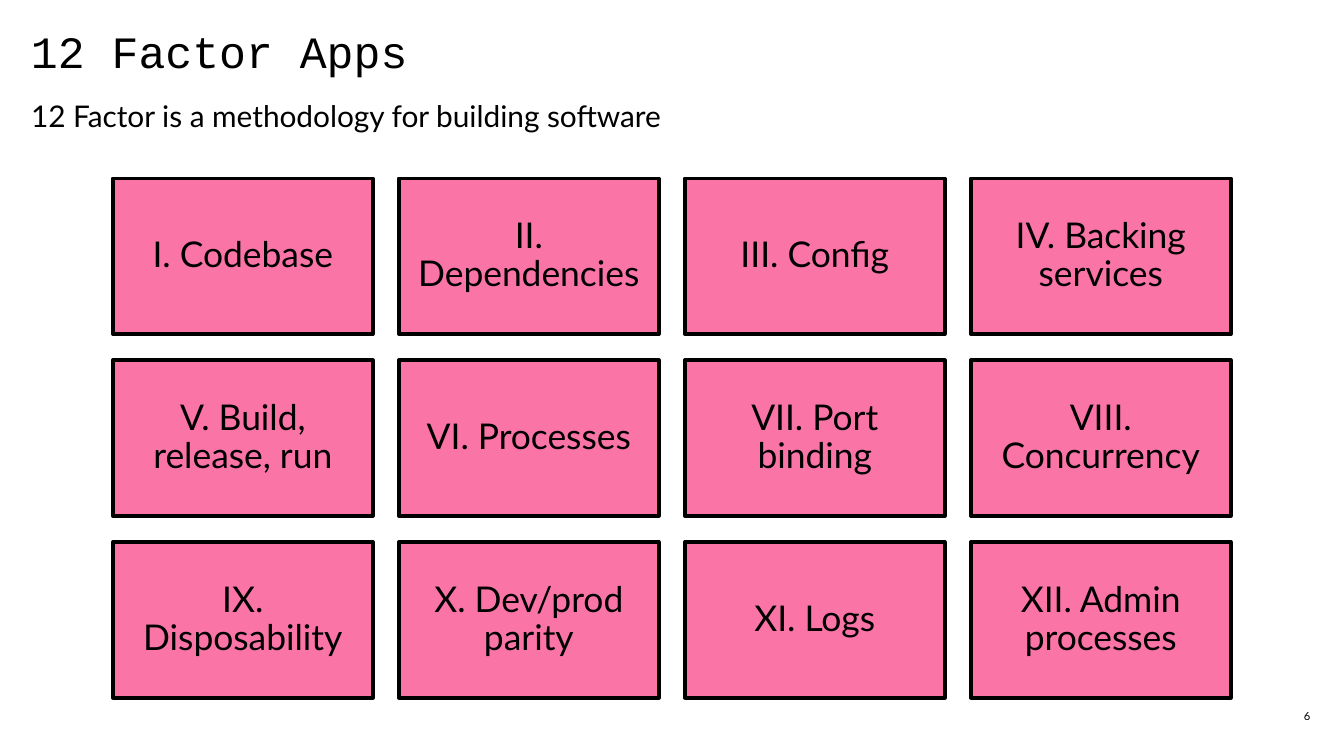
from dataclasses import dataclass

import pptx
import pptx.dml.color
import pptx.enum.shapes
import pptx.enum.text
import pptx.util

Pt = pptx.util.Pt
RGB = pptx.dml.color.RGBColor
ALIGN = pptx.enum.text.PP_ALIGN
ANCHOR = pptx.enum.text.MSO_ANCHOR


@dataclass(frozen=True)
class Theme:
    ink: RGB = RGB(0, 0, 0)
    pink: RGB = RGB(0xFA, 0x75, 0xA6)
    mono: str = "Courier New"
    sans: str = "Lato"
    title: int = 24
    lead: int = 16
    card: int = 19
    page: int = 6


THEME = Theme()
FACTORS = [
    "I. Codebase", "II. Dependencies", "III. Config", "IV. Backing services",
    "V. Build, release, run", "VI. Processes", "VII. Port binding", "VIII. Concurrency",
    "IX. Disposability", "X. Dev/prod parity", "XI. Logs", "XII. Admin processes",
]


def write(shape, text, size, font=THEME.sans, align=ALIGN.LEFT,
          anchor=ANCHOR.TOP, inset=0, spacing=None):
    """Fill a shape with one styled paragraph."""
    frame = shape.text_frame
    frame.text = text
    frame.word_wrap = True
    frame.vertical_anchor = anchor
    frame.margin_left = frame.margin_right = Pt(inset)
    frame.margin_top = frame.margin_bottom = Pt(inset)
    para = frame.paragraphs[0]
    para.alignment = align
    para.line_spacing = spacing
    style = para.runs[0].font
    style.name = font
    style.size = Pt(size)
    style.color.rgb = THEME.ink


def add_label(slide, box, text, size, **style):
    label = slide.shapes.add_textbox(*map(Pt, box))
    write(label, text, size, **style)


def add_card(slide, box, text):
    kind = pptx.enum.shapes.MSO_SHAPE.RECTANGLE
    card = slide.shapes.add_shape(kind, *map(Pt, box))
    card.shadow.inherit = False
    card.fill.solid()
    card.fill.fore_color.rgb = THEME.pink
    card.line.color.rgb = THEME.ink
    card.line.width = Pt(2)
    write(card, text, THEME.card, align=ALIGN.CENTER,
          anchor=ANCHOR.MIDDLE, inset=5.7, spacing=0.9)


def add_header(slide, box):
    left, top, width, height = box
    add_label(slide, (left, top, width / 2, 37.4), "12 Factor Apps", THEME.title,
              font=THEME.mono, spacing=Pt(28))
    add_label(slide, (left, top + height - 25.2, width, 25.2),
              "12 Factor is a methodology for building software",
              THEME.lead, spacing=Pt(16))


def add_grid(slide, box, names, cols=4, gap=14):
    left, top, width, height = box
    rows = len(names) // cols
    wide = (width - gap * (cols - 1)) / cols
    high = (height - gap * (rows - 1)) / rows
    for i, name in enumerate(names):
        row, col = divmod(i, cols)
        spot = (left + col * (wide + gap), top + row * (high + gap), wide, high)
        add_card(slide, spot, name)


def add_page(slide, box, number):
    add_label(slide, box, number, THEME.page, align=ALIGN.RIGHT, anchor=ANCHOR.MIDDLE)


def main():
    deck = pptx.Presentation()
    deck.slide_width, deck.slide_height = Pt(720), Pt(405)
    slide = deck.slides.add_slide(deck.slide_layouts[6])
    add_header(slide, (16.6, 13.7, 647.3, 67))
    add_grid(slide, (60.5, 95.6, 598.8, 278.2), FACTORS)
    add_page(slide, (558, 377.3, 144, 13), "6")
    deck.save("out.pptx")


if __name__ == "__main__":
    main()
